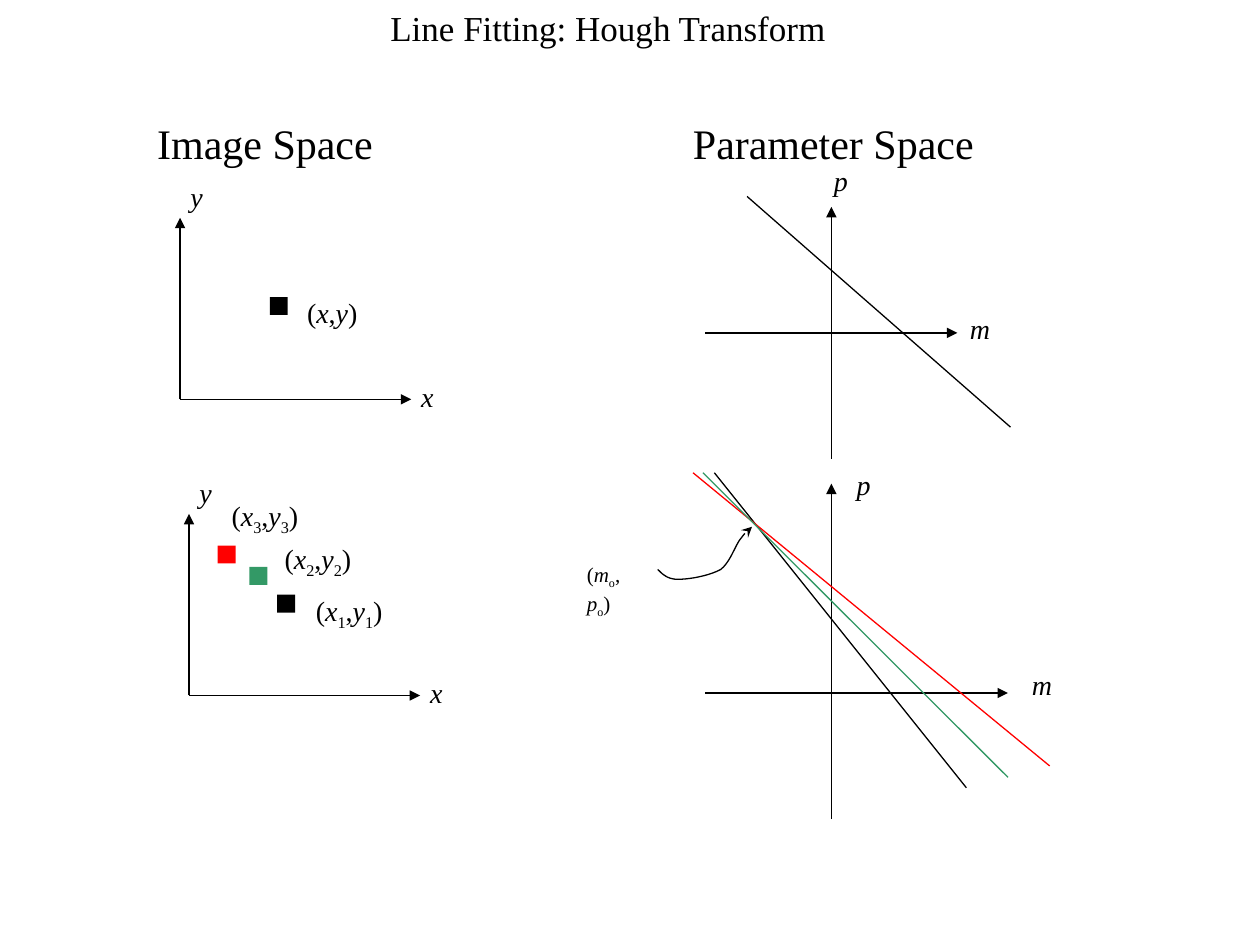
import lxml.etree
import pptx
import pptx.dml.color
import pptx.enum.shapes
import pptx.enum.text
import pptx.oxml.ns
import pptx.util

Cm = pptx.util.Cm
RGBColor = pptx.dml.color.RGBColor

BLACK = RGBColor(0x00, 0x00, 0x00)
RED = RGBColor(0xFF, 0x00, 0x00)
GREEN = RGBColor(0x33, 0x99, 0x66)


def bezier_point(p0, p1, p2, p3, t):
    s = 1 - t
    return tuple(
        s**3 * a + 3 * s * s * t * b + 3 * s * t * t * c + t**3 * d
        for a, b, c, d in zip(p0, p1, p2, p3)
    )


class Sketch:
    font_name = "Times New Roman"
    stroke = pptx.util.Pt(0.75)
    marker_side = Cm(0.36)
    curve_steps = 10

    def __init__(self, slide):
        self.slide = slide
        self.shapes = slide.shapes

    def style_line(self, line, color, head):
        line.color.rgb = color
        line.width = self.stroke
        if head:
            tail = lxml.etree.SubElement(
                line._get_or_add_ln(), pptx.oxml.ns.qn("a:tailEnd"))
            tail.set("type", head)

    def line(self, x1, y1, x2, y2, color=BLACK, head=None):
        connector = self.shapes.add_connector(
            pptx.enum.shapes.MSO_CONNECTOR.STRAIGHT,
            Cm(x1), Cm(y1), Cm(x2), Cm(y2))
        self.style_line(connector.line, color, head)
        lxml.etree.SubElement(
            connector._element.spPr, pptx.oxml.ns.qn("a:effectLst"))

    def axis(self, x1, y1, x2, y2):
        self.line(x1, y1, x2, y2, head="triangle")

    def marker(self, x, y, color):
        square = self.shapes.add_shape(
            pptx.enum.shapes.MSO_SHAPE.RECTANGLE,
            Cm(x), Cm(y), self.marker_side, self.marker_side)
        square.shadow.inherit = False
        square.fill.solid()
        square.fill.fore_color.rgb = color
        square.line.fill.background()

    def curve(self, start, segments, head):
        points = []
        corner = start
        for control1, control2, end in segments:
            points += [
                bezier_point(corner, control1, control2, end, i / self.curve_steps)
                for i in range(1, self.curve_steps + 1)
            ]
            corner = end
        builder = self.shapes.build_freeform(Cm(start[0]), Cm(start[1]))
        builder.add_line_segments([(Cm(x), Cm(y)) for x, y in points], close=False)
        outline = builder.convert_to_shape()
        outline.shadow.inherit = False
        outline.fill.background()
        self.style_line(outline.line, BLACK, head)

    def text(self, x, y, width, height, pieces, size=16):
        box = self.shapes.add_textbox(Cm(x), Cm(y), Cm(width), Cm(height))
        frame = box.text_frame
        frame.word_wrap = False
        frame.auto_size = pptx.enum.text.MSO_AUTO_SIZE.SHAPE_TO_FIT_TEXT
        for piece in pieces:
            run = frame.paragraphs[0].add_run()
            run.text = piece.lstrip("_")
            run.font.name = self.font_name
            run.font.size = pptx.util.Pt(size)
            run.font.color.rgb = BLACK
            run.font.italic = len(piece) == 1 and piece.isalpha()
            if piece.startswith("_"):
                run._r.get_or_add_rPr().set("baseline", "-25000")

    def symbol(self, x, y, letter):
        self.text(x, y, 0.91 if letter == "m" else 0.76, 0.94, [letter])

    def image_axes(self, x, y):
        self.axis(x, y, x + 4.66, y)
        self.axis(x, y, x, y - 3.66)
        self.symbol(x + 4.61, y - 0.53, "x")
        self.symbol(x - 0.04, y - 4.55, "y")


def main():
    presentation = pptx.Presentation()
    presentation.slide_width = Cm(25.4)
    presentation.slide_height = Cm(19.05)
    sketch = Sketch(presentation.slides.add_slide(presentation.slide_layouts[6]))

    sketch.text(7.62, 0, 9.32, 1.12, ["Line Fitting: Hough Transform"], 20)
    sketch.text(2.92, 2.24, 4.85, 1.27, ["Image Space"], 24)
    sketch.text(13.72, 2.24, 6.17, 1.27, ["Parameter Space"], 24)

    sketch.image_axes(3.63, 8.05)
    sketch.marker(5.44, 5.99, BLACK)
    sketch.text(5.94, 5.84, 1.52, 0.94, ["(", "x", ",", "y", ")"])

    sketch.image_axes(3.81, 14.02)
    for index, color, marker_x, marker_y, label_x, label_y in (
        (1, BLACK, 5.59, 11.99, 6.12, 11.84),
        (2, GREEN, 5.03, 11.43, 5.49, 10.8),
        (3, RED, 4.39, 11, 4.42, 9.93),
    ):
        sketch.marker(marker_x, marker_y, color)
        sketch.text(label_x, label_y, 1.85, 1.04,
                    ["(", "x", f"_{index}", ",", "y", f"_{index}", ")"])

    p_axis_x, m_axis_start = 16.76, 14.22
    sketch.axis(p_axis_x, 9.25, p_axis_x, 4.17)
    sketch.axis(m_axis_start, 6.71, 19.3, 6.71)
    sketch.symbol(19.3, 6.15, "m")
    sketch.symbol(16.56, 3.18, "p")
    sketch.line(15.06, 3.96, 20.37, 8.61)

    sketch.axis(p_axis_x, 16.51, p_axis_x, 9.75)
    sketch.axis(m_axis_start, 13.97, 20.32, 13.97)
    sketch.symbol(20.55, 13.34, "m")
    sketch.symbol(17.02, 9.3, "p")
    lines_top = 9.53
    for top_x, bottom_x, bottom_y, color in (
        (14.4, 19.48, 15.88, BLACK),
        (13.97, 21.16, 15.44, RED),
        (14.17, 20.32, 15.67, GREEN),
    ):
        sketch.line(top_x, lines_top, bottom_x, bottom_y, color)

    sketch.text(11.58, 11.2, 1.75, 0.84,
                ["(", "m", "_o", ", ", "p", "_o", ")"], 12)
    sketch.curve((13.26, 11.48), (
        ((13.36, 11.58), (13.46, 11.68), (13.67, 11.68)),
        ((13.89, 11.68), (14.3, 11.61), (14.53, 11.48)),
        ((14.73, 11.33), (14.83, 10.97), (14.94, 10.85)),
        ((15.06, 10.69), (15.11, 10.67), (15.16, 10.62)),
    ), "stealth")

    presentation.save("out.pptx")


if __name__ == "__main__":
    main()
